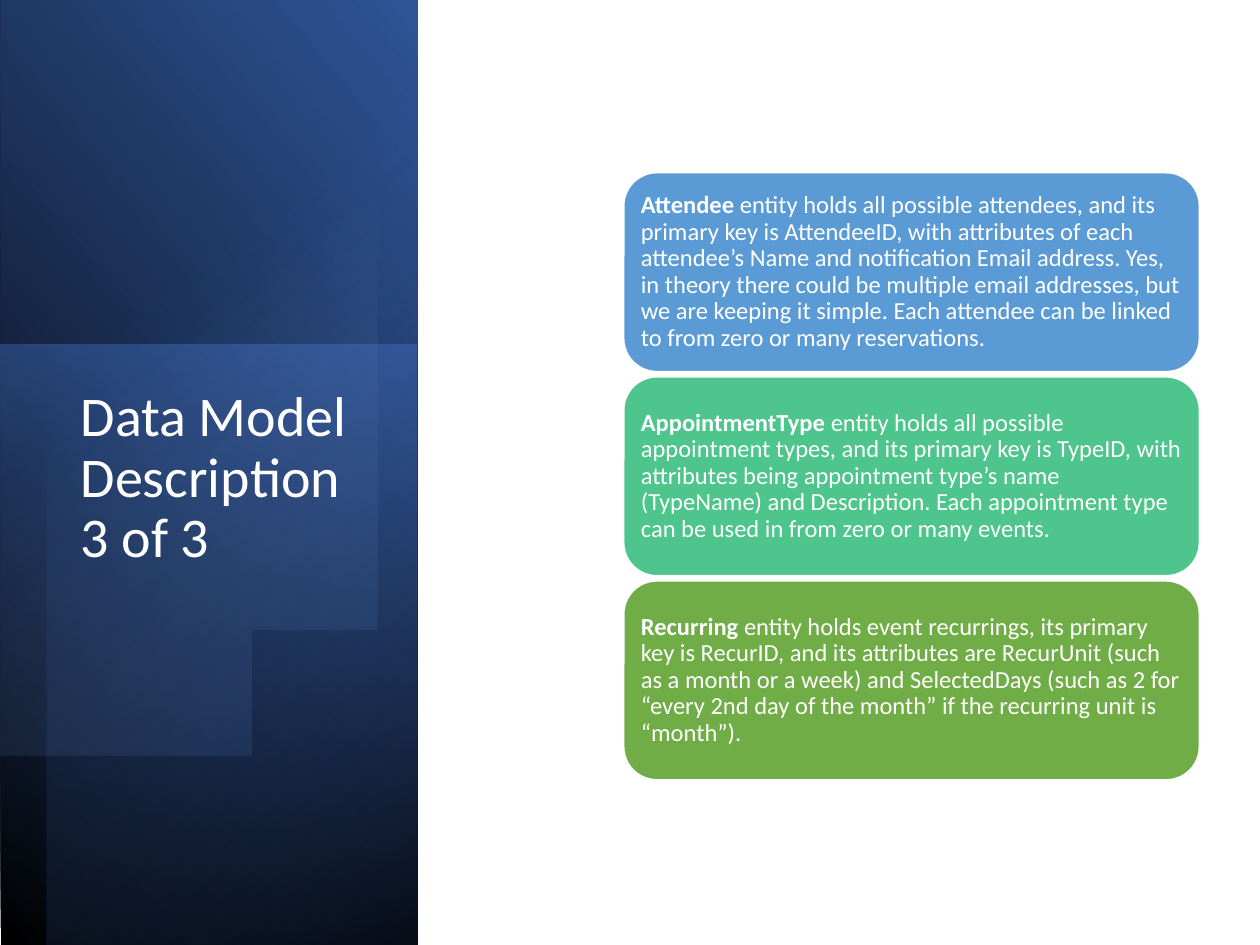
from lxml.etree import SubElement
from pptx import Presentation
from pptx.dml.color import RGBColor
from pptx.enum.shapes import MSO_SHAPE as Preset
from pptx.enum.text import MSO_ANCHOR as Anchor, MSO_AUTO_SIZE as AutoSize, PP_ALIGN as Align
from pptx.oxml.ns import qn
from pptx.util import Inches, Pt

WHITE = "FFFFFF"
ENTITIES = [
    ("5B9BD5", "Attendee", " entity holds all possible attendees, and its primary key is AttendeeID, "
     "with attributes of each attendee’s Name and notification Email address. Yes, in theory there "
     "could be multiple email addresses, but we are keeping it simple. Each attendee can be linked "
     "to from zero or many reservations."),
    ("4DC58D", "AppointmentType", " entity holds all possible appointment types, and its primary key "
     "is TypeID, with attributes being appointment type’s name (TypeName) and Description. Each "
     "appointment type can be used in from zero or many events."),
    ("70AD47", "Recurring", " entity holds event recurrings, its primary key is RecurID, and its "
     "attributes are RecurUnit (such as a month or a week) and SelectedDays (such as 2 for “every "
     "2nd day of the month” if the recurring unit is “month”)."),
]
PANEL_LAYERS = [
    ((-2.1, 2.1, 7.52, 3.31), 90, True, 310, [(0, "000000", 100), (100, "2F5597", 100)]),
    ((-0.73, 3.46, 4.76, 3.31), 270, False, 190, [(0, "4472C4", 50), (100, "203864", 0)]),
    ((-1.91, 2.28, 7.5, 2.94), 270, True, 220, [(0, "000000", 59), (69, "4472C4", 0)]),
]
GLOW_START = (1.2, 0.89)
GLOW_CURVES = [
    ((1.33, 0.88), (1.47, 0.89), (1.6, 0.91)),
    ((2.67, 1.13), (3.29, 2.47), (3, 3.89)),
    ((2.71, 5.31), (1.61, 6.28), (0.54, 6.07)),
    ((0.34, 6.02), (0.16, 5.94), (-0.01, 5.83)),
    ((-0.12, 5.74), (0.09, 1.38), (0.25, 1.25)),
    ((0.54, 1.04), (0.87, 0.91), GLOW_START),
]
GLOW_EDGE = 4


def color(value):
    """Turn a hex string into a colour."""
    return RGBColor.from_string(value)


def apply_format(target, values):
    """Set attributes from a dict of format values."""
    for name, value in values.items():
        setattr(target, name, value)


def fill_gradient(shape, angle, stops):
    """Fill with a two-stop gradient at a clockwise angle, without an outline."""
    shape.shadow.inherit = False
    shape.line.fill.background()
    shape.fill.gradient()
    shape.fill.gradient_angle = 360 - angle
    for stop, (position, value, _) in zip(shape.fill.gradient_stops, stops):
        stop.position = position / 100
        stop.color.rgb = color(value)
    marks = shape._element.spPr.iter(qn("a:gs"))
    for mark, (_, _, opacity) in zip(marks, stops):
        SubElement(mark[0], qn("a:alpha"), val=str(opacity * 1000))


def add_panel_layer(slide, place, rotation, flipped, angle, stops):
    """Add one turned gradient rectangle of the side panel."""
    layer = slide.shapes.add_shape(Preset.RECTANGLE, *map(Inches, place))
    layer.rotation = rotation
    if flipped:
        layer._element.spPr.xfrm.set("flipH", "1")
    fill_gradient(layer, angle, stops)


def curve_points(start, first, second, end, steps=24):
    """Return points along a cubic curve."""
    return [tuple((1 - t) ** 3 * a + 3 * (1 - t) ** 2 * t * b + 3 * (1 - t) * t ** 2 * c + t ** 3 * d
                  for a, b, c, d in zip(start, first, second, end))
            for t in (step / steps for step in range(1, steps + 1))]


def add_glow(slide):
    """Add the soft oval over the side panel."""
    outline, last = [], GLOW_START
    for index, curve in enumerate(GLOW_CURVES):
        outline += curve if index == GLOW_EDGE else curve_points(last, *curve)
        last = curve[-1]
    builder = slide.shapes.build_freeform(*GLOW_START, scale=Inches(1))
    builder.add_line_segments(outline, close=True)
    fill_gradient(builder.convert_to_shape(), 51.6, [(39, "8FAADC", 0), (100, "2F5597", 26)])


def write_paragraph(paragraph, size, runs):
    """Write (text, bold) runs into a left-aligned white paragraph."""
    apply_format(paragraph, {"alignment": Align.LEFT, "line_spacing": 0.9})
    for text, bold in runs:
        run = paragraph.add_run()
        run.text = text
        apply_format(run.font, {"name": "Calibri", "size": Pt(size), "bold": bold})
        run.font.color.rgb = color(WHITE)


def set_title(slide, text):
    """Place the title in front of the side panel."""
    title = slide.shapes.title
    slide.shapes._spTree.append(title._element)
    apply_format(title, {"left": Inches(0.54), "top": Inches(3.03),
                         "width": Inches(2.36), "height": Inches(3.36)})
    apply_format(title.text_frame, {"vertical_anchor": Anchor.TOP, "word_wrap": True,
                                    "auto_size": AutoSize.NONE})
    write_paragraph(title.text_frame.paragraphs[0], 32, [(text, False)])


def add_entity(slide, top, fill, name, description):
    """Add a rounded card that describes one entity."""
    card = slide.shapes.add_shape(Preset.ROUNDED_RECTANGLE, Inches(4.95), Inches(top),
                                  Inches(4.57), Inches(1.58))
    card.shadow.inherit = False
    card.fill.solid()
    card.fill.fore_color.rgb = color(fill)
    card.line.color.rgb = color(WHITE)
    card.line.width = Pt(1)
    inset = Inches(0.06)
    apply_format(card.text_frame, {"word_wrap": True, "vertical_anchor": Anchor.MIDDLE,
                                   "margin_left": inset, "margin_right": inset,
                                   "margin_top": inset, "margin_bottom": inset})
    write_paragraph(card.text_frame.paragraphs[0], 14, [(name, True), (description, False)])


def main():
    """Build and save the slide."""
    deck = Presentation()
    deck.slide_width, deck.slide_height = Inches(10), Inches(7.5)
    slide = deck.slides.add_slide(deck.slide_layouts[5])
    for layer in PANEL_LAYERS:
        add_panel_layer(slide, *layer)
    add_glow(slide)
    set_title(slide, "Data Model Description 3 of 3")
    for row, entity in enumerate(ENTITIES):
        add_entity(slide, 1.37 + row * 1.62, *entity)
    deck.save("out.pptx")


if __name__ == "__main__":
    main()
